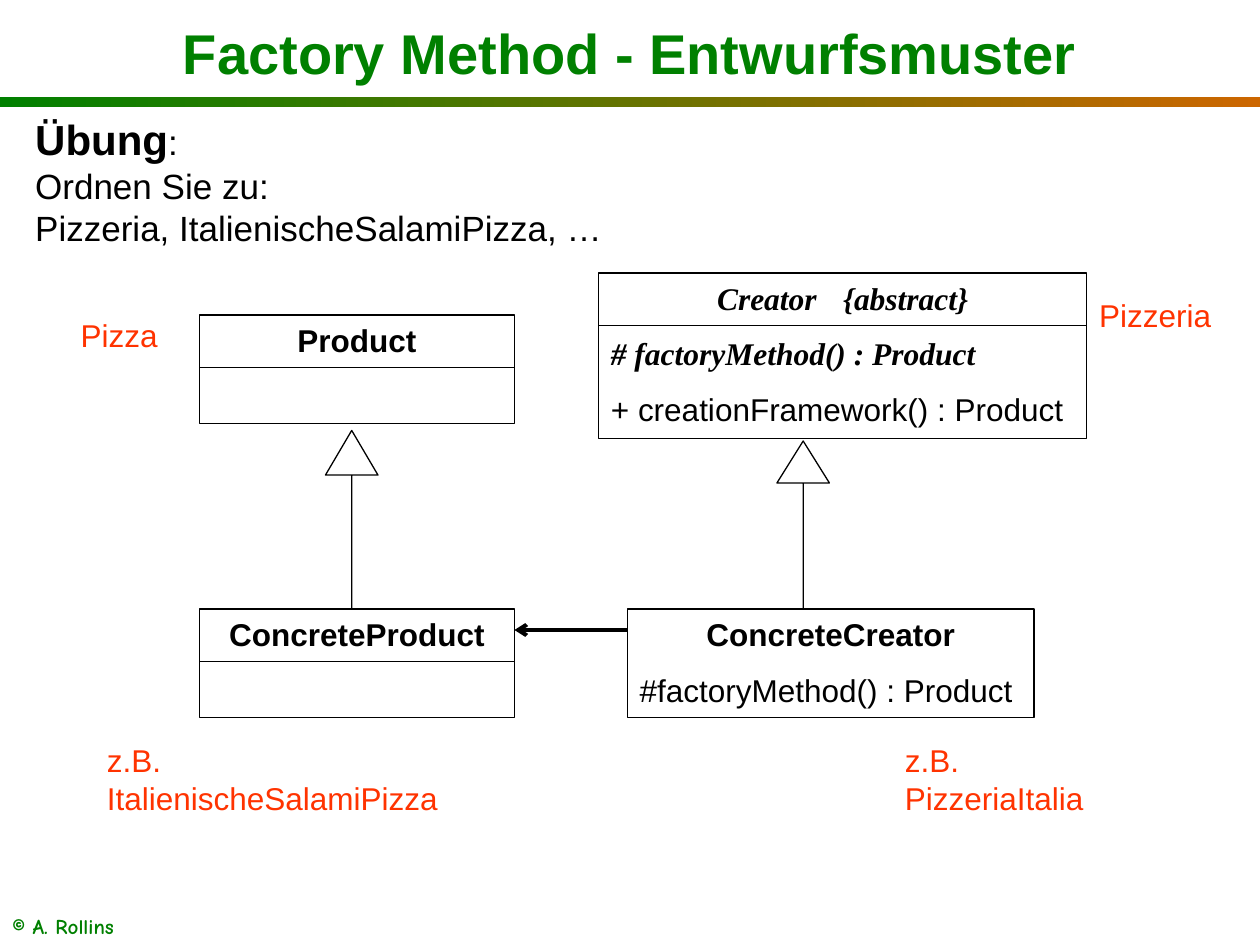
from dataclasses import dataclass, replace
from typing import Optional

from lxml.etree import SubElement
from pptx import Presentation
from pptx.dml.color import RGBColor
from pptx.enum.shapes import MSO_CONNECTOR, MSO_SHAPE
from pptx.enum.text import MSO_ANCHOR, MSO_AUTO_SIZE, PP_ALIGN
from pptx.oxml.ns import qn
from pptx.util import Pt


@dataclass(frozen=True)
class Theme:
    green: RGBColor = RGBColor(0x00, 0x80, 0x00)
    orange: RGBColor = RGBColor(0xCC, 0x66, 0x00)
    red: RGBColor = RGBColor(0xFF, 0x33, 0x00)
    black: RGBColor = RGBColor(0x00, 0x00, 0x00)
    white: RGBColor = RGBColor(0xFF, 0xFF, 0xFF)
    sans: str = "Arial"
    serif: str = "Times New Roman"
    hand: str = "Comic Neue"
    title: float = 32
    heading: float = 24
    task: float = 20
    body: float = 18
    footer: float = 12
    thin: float = 0.75
    thick: float = 2.25
    paragraph_gap: float = 10


THEME = Theme()


@dataclass(frozen=True)
class Style:
    size: float = THEME.body
    font: str = THEME.sans
    color: RGBColor = THEME.black
    bold: bool = False
    italic: bool = False


PLAIN = Style()
BOLD = replace(PLAIN, bold=True)
ABSTRACT = Style(font=THEME.serif, bold=True, italic=True)
EXAMPLE = replace(PLAIN, color=THEME.red)
TASK = replace(PLAIN, size=THEME.task)


@dataclass(frozen=True)
class Box:
    left: float
    top: float
    width: float
    height: float

    def lengths(self) -> tuple:
        return Pt(self.left), Pt(self.top), Pt(self.width), Pt(self.height)


@dataclass(frozen=True)
class UmlClass:
    box: Box
    name: str
    name_style: Style = BOLD
    methods: tuple = ()
    divided: bool = True
    fill: Optional[RGBColor] = None


@dataclass(frozen=True)
class Label:
    box: Box
    text: str
    style: Style = EXAMPLE


CLASSES = (
    UmlClass(Box(342, 156, 279, 94.5), "Creator\t{abstract}", ABSTRACT,
             (("# factoryMethod() : Product", ABSTRACT),
              ("+ creationFramework() : Product", PLAIN))),
    UmlClass(Box(114, 348, 180, 62), "ConcreteProduct"),
    UmlClass(Box(114, 180, 180, 62), "Product"),
    UmlClass(Box(358.5, 348, 232.5, 62), "ConcreteCreator",
             methods=(("#factoryMethod() : Product", PLAIN),),
             divided=False, fill=THEME.white),
)
NAME_HEIGHT = 30
INHERITANCES = ((Box(444, 252, 30, 96), 0.8), (Box(186, 246, 30, 102), 0.85))
LABELS = (
    Label(Box(621, 165.5, 93, 29), "Pizzeria"),
    Label(Box(510, 420, 144, 50.5), "z.B. PizzeriaItalia"),
    Label(Box(54, 420, 204, 50.5), "z.B. ItalienischeSalamiPizza"),
    Label(Box(39, 177, 144, 29), "Pizza"),
    Label(Box(0, 518.5, 104.5, 21.5), "© A. Rollins",
          Style(THEME.footer, THEME.hand, THEME.green, bold=True)),
)
TASK_LINES = ("Ordnen Sie zu:", "Pizzeria, ItalienischeSalamiPizza, …")


def add_run(paragraph, text: str, style: Style) -> None:
    run = paragraph.add_run()
    run.text = text
    run.font.name = style.font
    run.font.size = Pt(style.size)
    run.font.bold = style.bold
    run.font.italic = style.italic
    run.font.color.rgb = style.color


def add_outline(slide, kind: MSO_SHAPE, box: Box, fill: Optional[RGBColor] = None):
    shape = slide.shapes.add_shape(kind, *box.lengths())
    shape.shadow.inherit = False
    if fill is None:
        shape.fill.background()
    else:
        shape.fill.solid()
        shape.fill.fore_color.rgb = fill
    shape.line.color.rgb = THEME.black
    shape.line.width = Pt(THEME.thin)
    return shape


def add_line(slide, start: tuple, end: tuple, width: float, arrow: bool = False) -> None:
    line = slide.shapes.add_connector(
        MSO_CONNECTOR.STRAIGHT, *(Pt(value) for value in start + end))
    line.line.color.rgb = THEME.black
    line.line.width = Pt(width)
    properties = line._element.spPr
    if arrow:
        SubElement(properties.find(qn("a:ln")), qn("a:tailEnd"), type="arrow")
    SubElement(properties, qn("a:effectLst"))


def add_class(slide, uml: UmlClass) -> None:
    box = uml.box
    frame = add_outline(slide, MSO_SHAPE.RECTANGLE, box, uml.fill).text_frame
    frame.word_wrap = True
    frame.vertical_anchor = MSO_ANCHOR.TOP
    heading = frame.paragraphs[0]
    heading.alignment = PP_ALIGN.CENTER
    add_run(heading, uml.name, uml.name_style)
    for method, style in uml.methods:
        paragraph = frame.add_paragraph()
        paragraph.alignment = PP_ALIGN.LEFT
        paragraph.space_before = Pt(THEME.paragraph_gap)
        add_run(paragraph, method, style)
    if uml.divided:
        divider = box.top + NAME_HEIGHT
        add_line(slide, (box.left, divider), (box.left + box.width, divider), THEME.thin)


def add_inheritance(slide, box: Box, head_ratio: float) -> None:
    """Draw a hollow triangle on a single line; head_ratio is head height to width."""
    arrow = add_outline(slide, MSO_SHAPE.UP_ARROW, box)
    arrow.adjustments[0] = 0
    arrow.adjustments[1] = head_ratio


def add_text(slide, box: Box):
    frame = slide.shapes.add_textbox(*box.lengths()).text_frame
    frame.word_wrap = True
    return frame.paragraphs[0]


def add_title(slide, text: str) -> None:
    title = slide.shapes.title
    title.left, title.top, title.width, title.height = Box(0, 3, 720, 53).lengths()
    frame = title.text_frame
    frame.auto_size = MSO_AUTO_SIZE.NONE
    frame.vertical_anchor = MSO_ANCHOR.MIDDLE
    frame.paragraphs[0].alignment = PP_ALIGN.CENTER
    add_run(frame.paragraphs[0], text, Style(THEME.title, color=THEME.green, bold=True))


def add_title_rule(slide) -> None:
    rule = slide.shapes.add_shape(MSO_SHAPE.RECTANGLE, *Box(0, 55.5, 720, 5.5).lengths())
    rule.shadow.inherit = False
    rule.line.fill.background()
    rule.fill.gradient()
    rule.fill.gradient_angle = 0
    for stop, color in zip(rule.fill.gradient_stops, (THEME.green, THEME.orange)):
        stop.color.rgb = color


def add_task(slide) -> None:
    task = add_text(slide, Box(13, 61.5, 430, 84))
    add_run(task, "Übung", replace(BOLD, size=THEME.heading))
    add_run(task, ":", TASK)
    for line in TASK_LINES:
        task.add_line_break()
        add_run(task, line, TASK)


def main() -> None:
    deck = Presentation()
    deck.slide_width, deck.slide_height = Pt(720), Pt(540)
    slide = deck.slides.add_slide(deck.slide_layouts[5])
    add_title_rule(slide)
    add_title(slide, "Factory Method - Entwurfsmuster")
    add_task(slide)
    for uml in CLASSES:
        add_class(slide, uml)
    for box, head_ratio in INHERITANCES:
        add_inheritance(slide, box, head_ratio)
    add_line(slide, (358.5, 360), (294, 360), THEME.thick, arrow=True)
    for label in LABELS:
        add_run(add_text(slide, label.box), label.text, label.style)
    deck.save("out.pptx")


if __name__ == "__main__":
    main()
